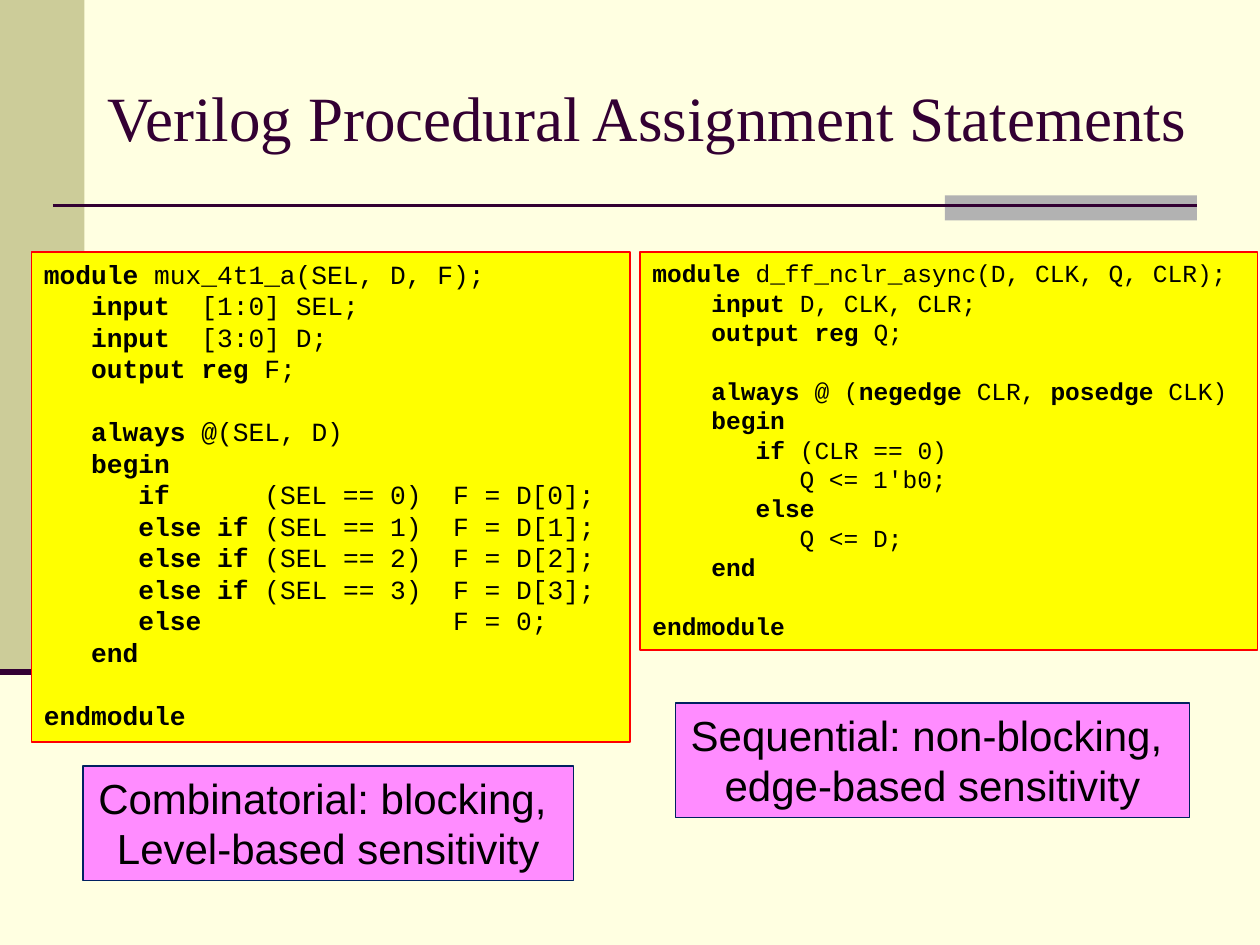
from itertools import groupby

from lxml.etree import SubElement
from pptx import Presentation
from pptx.dml.color import RGBColor
from pptx.enum.shapes import MSO_CONNECTOR, MSO_SHAPE
from pptx.enum.text import MSO_ANCHOR, MSO_AUTO_SIZE, PP_ALIGN
from pptx.oxml.ns import qn
from pptx.util import Inches, Pt

COLORS = {
    "back": "FFFFE1", "band": "CCCC99", "bar": "B2B2B2", "plum": "330033",
    "code": "FFFF00", "red": "FF0000", "note": "FF8CFF", "navy": "002060",
    "text": "000000",
}
CELL = 0.25  # grid of 40 columns by 30 rows

KEYS = {"module", "endmodule", "input", "output", "reg", "always", "begin",
        "end", "if", "else", "negedge", "posedge"}

MUX = """module mux_4t1_a(SEL, D, F);
   input  [1:0] SEL;
   input  [3:0] D;
   output reg F;
    
   always @(SEL, D)
   begin
      if      (SEL == 0)  F = D[0];
      else if (SEL == 1)  F = D[1];
      else if (SEL == 2)  F = D[2];
      else if (SEL == 3)  F = D[3];
      else                F = 0;
   end
    
endmodule"""

FLOP = """module d_ff_nclr_async(D, CLK, Q, CLR);
    input D, CLK, CLR;
    output reg Q;
    
    always @ (negedge CLR, posedge CLK)
    begin
       if (CLR == 0)
          Q <= 1'b0;
       else
          Q <= D;
    end
    
endmodule"""


def tint(name):
    return RGBColor.from_string(COLORS[name])


def grid(*cells):
    return [Inches(CELL * n) for n in cells]


def split(line):
    """Yield (text, bold) pieces, with keywords in bold."""
    words = ("".join(part) for _, part in groupby(line, str.isalpha))
    for bold, part in groupby(words, lambda word: word in KEYS):
        yield "".join(part), bold


def write(frame, text, font="Arial", size=24, color="text",
          align=PP_ALIGN.LEFT, code=False):
    for i, line in enumerate(text.split("\n")):
        para = frame.add_paragraph() if i else frame.paragraphs[0]
        para.alignment = align
        for piece, bold in split(line) if code else [(line, False)]:
            run = para.add_run()
            run.text = piece
            run.font.name = font
            run.font.size = Pt(size)
            run.font.bold = bold
            run.font.color.rgb = tint(color)


class Board:
    def __init__(self, deck):
        self.slide = deck.slides.add_slide(deck.slide_layouts[5])
        fill = self.slide.background.fill
        fill.solid()
        fill.fore_color.rgb = tint("back")

    def rect(self, area, fill, edge=None):
        box = self.slide.shapes.add_shape(MSO_SHAPE.RECTANGLE, *grid(*area))
        box.shadow.inherit = False
        box.fill.solid()
        box.fill.fore_color.rgb = tint(fill)
        if edge:
            box.line.color.rgb = tint(edge)
            box.line.width = Pt(0.75)
        else:
            box.line.fill.background()
        return box

    def rule(self, ends, width):
        line = self.slide.shapes.add_connector(
            MSO_CONNECTOR.STRAIGHT, *grid(*ends))
        line.line.color.rgb = tint("plum")
        line.line.width = Pt(width)
        SubElement(line._element.spPr, qn("a:effectLst"))

    def title(self, area, text):
        head = self.slide.shapes.title
        head.left, head.top, head.width, head.height = grid(*area)
        frame = head.text_frame
        frame.auto_size = MSO_AUTO_SIZE.NONE
        frame.vertical_anchor = MSO_ANCHOR.MIDDLE
        write(frame, text, font="Times New Roman", size=36, color="plum")

    def panel(self, area, fill, edge, text, **style):
        frame = self.rect(area, fill, edge).text_frame
        frame.word_wrap = False
        frame.auto_size = MSO_AUTO_SIZE.SHAPE_TO_FIT_TEXT
        frame.vertical_anchor = MSO_ANCHOR.TOP
        write(frame, text, **style)

    def code(self, area, text, size):
        self.panel(area, "code", "red", text,
                   font="Courier New", size=size, code=True)

    def note(self, area, text):
        self.panel(area, "note", "navy", text, align=PP_ALIGN.CENTER)


def main():
    deck = Presentation()
    deck.slide_width, deck.slide_height = grid(40, 30)
    board = Board(deck)

    # Side band and title rule
    board.rect((0, 0, 2.68, 21.32), "band")
    board.rect((30, 6.2, 8, 0.8), "bar")
    board.rule((1.68, 6.52, 38, 6.52), 1.5)
    board.rule((0, 21.32, 2.68, 21.32), 3.5)
    board.title((3, 1.2, 35.68, 5), "Verilog Procedural Assignment Statements")

    # Code samples
    board.code((1, 8, 19, 15.56), MUX, 15)
    board.code((20.32, 8, 19.6, 12.64), FLOP, 14)

    # Captions
    board.note((2.64, 24.32, 15.56, 3.64),
               "Combinatorial: blocking, \nLevel-based sensitivity")
    board.note((21.44, 22.32, 16.32, 3.64),
               "Sequential: non-blocking, \nedge-based sensitivity")

    deck.save("out.pptx")


if __name__ == "__main__":
    main()
